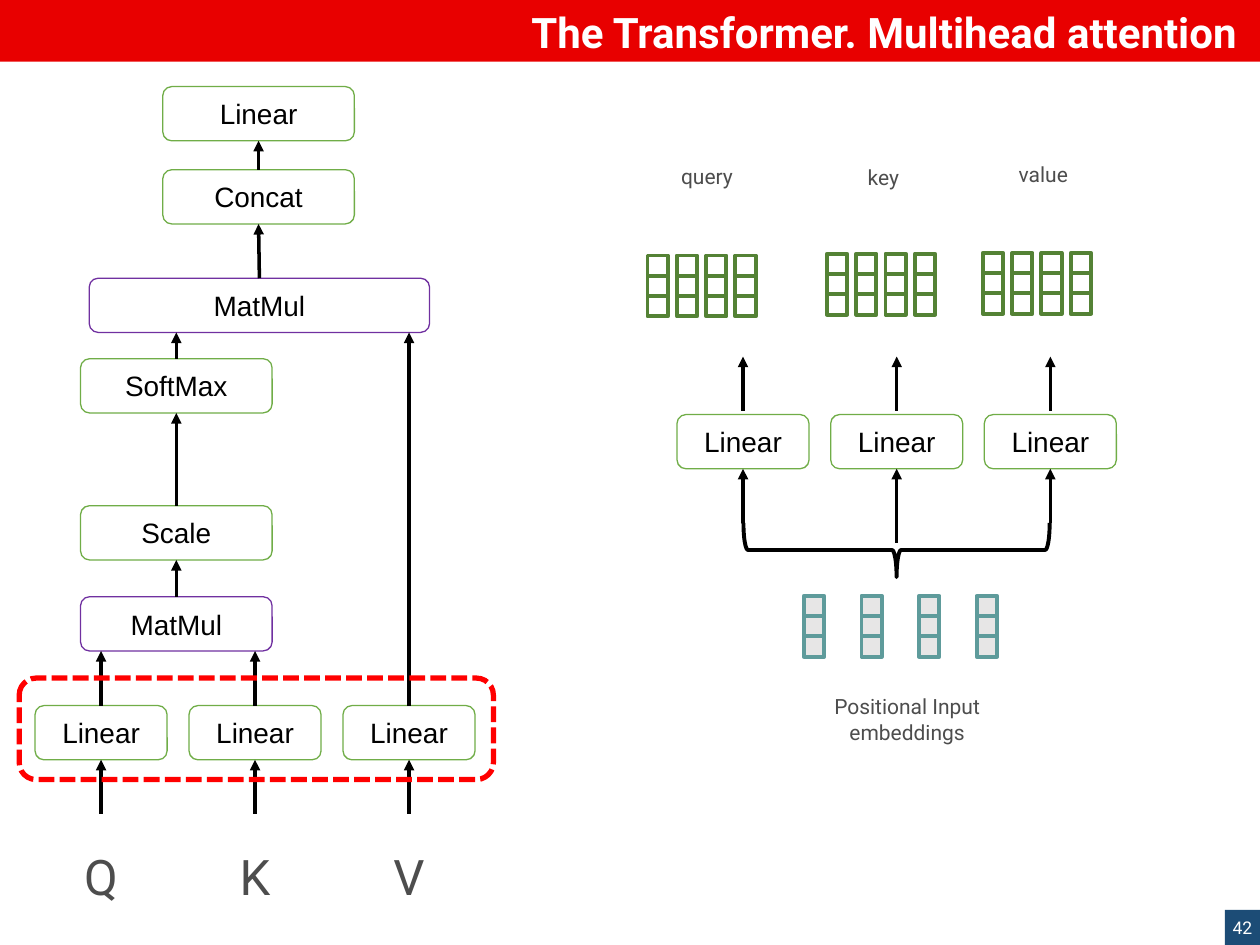
from lxml import etree
from pptx import Presentation
from pptx.dml.color import RGBColor
from pptx.enum.dml import MSO_LINE
from pptx.enum.shapes import MSO_CONNECTOR, MSO_SHAPE
from pptx.enum.text import MSO_ANCHOR, PP_ALIGN
from pptx.oxml.ns import qn
from pptx.util import Pt

RECT, ROUNDED, BRACE = MSO_SHAPE.RECTANGLE, MSO_SHAPE.ROUNDED_RECTANGLE, MSO_SHAPE.RIGHT_BRACE
STRAIGHT, DASH = MSO_CONNECTOR.STRAIGHT, MSO_LINE.SQUARE_DOT
CENTER, RIGHT = PP_ALIGN.CENTER, PP_ALIGN.RIGHT
TOP, MIDDLE = MSO_ANCHOR.TOP, MSO_ANCHOR.MIDDLE
SITE_TOP, SITE_BOTTOM = 0, 2

COLORS = {
    "red": "E80000", "dash": "FF0000", "navy": "1C4C76", "white": "FFFFFF",
    "black": "000000", "gray": "4D4D4D", "green": "70AD47", "purple": "7030A0",
    "teal": "5E9B9B", "pale": "E7E6E6", "dark_green": "548235",
}
BOX_H, NARROW_W, WIDE_W = 31, 75.5, 109.5


def rgb(name):
    """Return the named colour."""
    return RGBColor.from_string(COLORS[name])


def write(tf, text, size, font, color, align=CENTER, anchor=MIDDLE):
    """Put one formatted paragraph in a text frame."""
    tf.text = text
    tf.word_wrap = True
    tf.vertical_anchor = anchor
    p = tf.paragraphs[0]
    p.alignment = align
    p.font.size, p.font.name = Pt(size), font
    p.font.color.rgb = rgb(color)
    return p


def add_shape(s, kind, x, y, w, h, fill=None, line=None, width=0.75):
    """Add a preset shape without shadow."""
    sp = s.shapes.add_shape(kind, Pt(x), Pt(y), Pt(w), Pt(h))
    sp.shadow.inherit = False
    if fill:
        sp.fill.solid()
        sp.fill.fore_color.rgb = rgb(fill)
    else:
        sp.fill.background()
    if line:
        sp.line.color.rgb = rgb(line)
        sp.line.width = Pt(width)
    else:
        sp.line.fill.background()
    return sp


def add_label(s, text, x, y, w, h, size, anchor):
    """Add a centred grey caption."""
    tb = s.shapes.add_textbox(Pt(x), Pt(y), Pt(w), Pt(h))
    write(tb.text_frame, text, size, "Roboto", "gray", anchor=anchor)


def add_block(s, text, x, y, w, line="green"):
    """Add a rounded block naming one operation."""
    sp = add_shape(s, ROUNDED, x, y, w, BOX_H, line=line)
    write(sp.text_frame, text, 16, "Arial", "black")
    return sp


def add_arrow(s, x, y1, y2, begin=None, end=None):
    """Add an upward arrow, joined to the blocks given."""
    c = s.shapes.add_connector(STRAIGHT, Pt(x), Pt(y1), Pt(x), Pt(y2))
    c.line.color.rgb = rgb("black")
    c.line.width = Pt(2)
    if begin is not None:
        begin_site = SITE_TOP
        c.begin_connect(begin, begin_site)
    if end is not None:
        c.end_connect(end, SITE_BOTTOM)
    etree.SubElement(c.line._get_or_add_ln(), qn("a:tailEnd"), type="triangle")
    etree.SubElement(c._element.spPr, qn("a:effectLst"))


def add_vectors(s, x, y, pitch, fill, line, count=4, cells=3, size=11.6):
    """Add a row of vectors, each a column of square cells."""
    for col in range(count):
        for row in range(cells):
            add_shape(s, RECT, x + col * pitch, y + row * size, size, size, fill, line, 2.25)


def add_header(s, x, y, w, h):
    """Add the red band and the title over it."""
    band = add_shape(s, RECT, x, y, w, h, "red")
    s.shapes._spTree.insert(2, band._element)
    title = s.shapes.title
    title.left, title.top, title.width, title.height = Pt(x + 102), Pt(y + 7), Pt(w - 108), Pt(24)
    p = write(title.text_frame, "The Transformer. Multihead attention", 24, "Roboto", "white", RIGHT)
    p.font.bold = True


def add_page_number(s, x, y, size):
    """Add the page number square."""
    sp = add_shape(s, RECT, x, y, size, size, "navy")
    tf = sp.text_frame
    tf.margin_left = tf.margin_right = tf.margin_top = tf.margin_bottom = Pt(2.9)
    write(tf, "42", 10, "Roboto", "white")


def add_attention_stack(s, x, y):
    """Add the attention pipeline from Q, K and V up to the last linear layer."""
    linear = add_block(s, "Linear", x + 82, y, WIDE_W)
    concat = add_block(s, "Concat", x + 82, y + 47.5, WIDE_W)
    matmul = add_block(s, "MatMul", x + 40, y + 109.5, 194.5, "purple")
    softmax = add_block(s, "SoftMax", x + 35, y + 155.5, WIDE_W)
    scale = add_block(s, "Scale", x + 35, y + 239.5, WIDE_W)
    scores = add_block(s, "MatMul", x + 35, y + 291.5, WIDE_W, "purple")
    middle = x + 89.75
    for begin, end in ((concat, linear), (matmul, concat), (softmax, None), (scale, softmax), (scores, scale)):
        add_arrow(s, middle, y + 155.5, y + 140.5, begin, end)
    for i, (name, target_y) in enumerate((("Q", 322.5), ("K", 322.5), ("V", 140.5))):
        center = x + 46.75 + i * 88
        block = add_block(s, "Linear", center - NARROW_W / 2, y + 353.7, NARROW_W)
        add_arrow(s, center, y + 353.7, y + target_y, begin=block)
        add_arrow(s, center, y + 415.5, y + 384.7, end=block)
        add_label(s, name, center - 18, y + 434.5, 36, 33, 28, MIDDLE)
    frame = add_shape(s, ROUNDED, x, y + 338, 271, 58, line="dash", width=3)
    frame.line.dash_style = DASH


def add_projections(s, x, y):
    """Add the projection of input embeddings to query, key and value."""
    add_vectors(s, x + 122.4, y + 252.5, 32.9, "pale", "teal")
    outputs = (("query", 0, 2, 33, 58), ("key", 100.8, 2.7, 135.5, 57), ("value", 192.2, 0.6, 224.6, 56.5))
    for i, (name, label_x, label_y, grid_x, grid_y) in enumerate(outputs):
        center = x + 87.6 + i * 87.8
        block = add_block(s, "Linear", center - NARROW_W / 2, y + 148.9, NARROW_W)
        add_arrow(s, center, y + (222.3 if i == 1 else 210.8), y + 179.9, end=block)
        add_arrow(s, center, y + 146.7, y + 115.8)
        add_label(s, name, x + label_x, y + label_y, 134, 50, 12, TOP)
        add_vectors(s, x + grid_x, y + grid_y, 16.75, "white", "dark_green")
    brace = add_shape(s, BRACE, x + 159.8, y + 138.8, 31, 175, line="black", width=2.25)
    brace.rotation = 90
    add_label(s, "Positional Input embeddings", x + 114.4, y + 305, 134, 50, 12, TOP)


def main():
    """Build and save the slide."""
    prs = Presentation()
    prs.slide_width, prs.slide_height = Pt(720), Pt(540)
    s = prs.slides.add_slide(prs.slide_layouts[5])
    add_header(s, 0, -0.7, 720, 36)
    add_page_number(s, 700, 520, 20)
    add_attention_stack(s, 11, 49.5)
    add_projections(s, 337, 88)
    prs.save("out.pptx")


if __name__ == "__main__":
    main()
